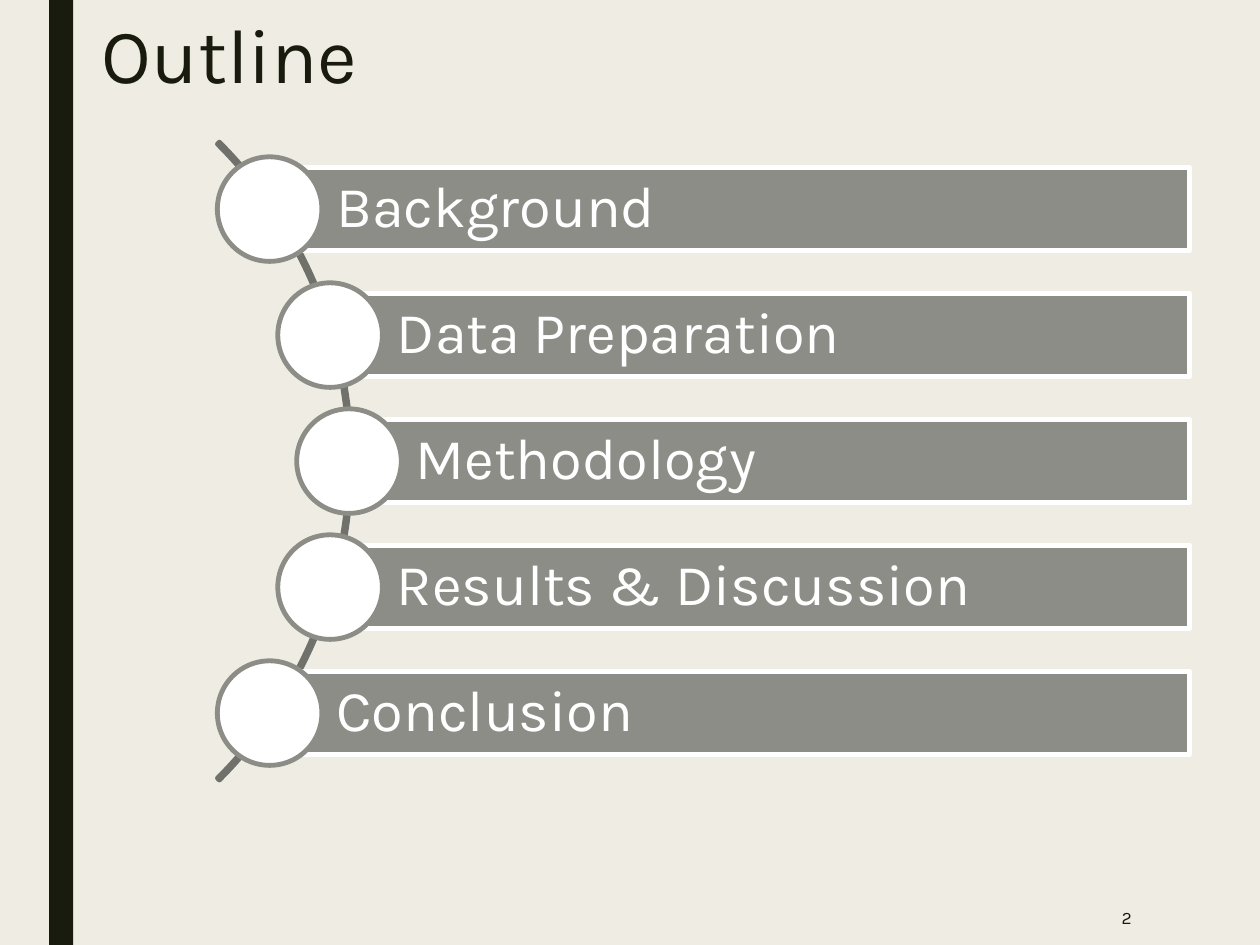
from dataclasses import dataclass

from pptx import Presentation
from pptx.dml.color import RGBColor
from pptx.enum.shapes import MSO_SHAPE as Shape
from pptx.enum.text import MSO_ANCHOR as Anchor, PP_ALIGN as Align
from pptx.util import Inches, Pt


@dataclass(frozen=True)
class Theme:
    background: RGBColor = RGBColor(0xEF, 0xED, 0xE3)
    ink: RGBColor = RGBColor(0x19, 0x1B, 0x0E)
    arc: RGBColor = RGBColor(0x70, 0x71, 0x6B)
    bar: RGBColor = RGBColor(0x8C, 0x8D, 0x86)
    white: RGBColor = RGBColor(0xFF, 0xFF, 0xFF)
    font: str = "Karla"
    title_size: float = 44
    topic_size: float = 33
    number_size: float = 10
    outline: float = 2.75


@dataclass(frozen=True)
class Topic:
    label: str
    left: float


THEME = Theme()
TOPICS = [
    Topic("Background", 2.14),
    Topic("Data Preparation", 2.62),
    Topic("Methodology", 2.77),
    Topic("Results & Discussion", 2.62),
    Topic("Conclusion", 2.14),
]
CENTER_Y = 3.66
TOPIC_PITCH = 1.0
BAR_RIGHT = 9.44
BAR_HEIGHT = 0.66
CIRCLE_SIZE = 0.83
ARC_CENTER_X = -0.79
ARC_SIZE = 7.16


def add_shape(slide, kind: Shape, left: float, top: float, width: float,
              height: float, fill: RGBColor | None = None,
              line: RGBColor | None = None):
    shape = slide.shapes.add_shape(
        kind, Inches(left), Inches(top), Inches(width), Inches(height))
    shape.shadow.inherit = False
    if fill is None:
        shape.fill.background()
    else:
        shape.fill.solid()
        shape.fill.fore_color.rgb = fill
    if line is None:
        shape.line.fill.background()
    else:
        shape.line.color.rgb = line
        shape.line.width = Pt(THEME.outline)
    return shape


def write(shape, text: str, size: float, color: RGBColor,
          anchor: Anchor = Anchor.MIDDLE, align: Align = Align.LEFT,
          line_spacing: float = 1.0) -> None:
    frame = shape.text_frame
    frame.word_wrap = True
    frame.vertical_anchor = anchor
    frame.text = text
    paragraph = frame.paragraphs[0]
    paragraph.alignment = align
    paragraph.line_spacing = line_spacing
    font = paragraph.runs[0].font
    font.name = THEME.font
    font.size = Pt(size)
    font.color.rgb = color


def add_text(slide, left: float, top: float, width: float, height: float):
    return slide.shapes.add_textbox(
        Inches(left), Inches(top), Inches(width), Inches(height))


def add_arc(slide) -> None:
    """Draw the right-hand quarter of the ring that carries the circles."""
    arc = add_shape(slide, Shape.BLOCK_ARC, ARC_CENTER_X - ARC_SIZE / 2,
                    CENTER_Y - ARC_SIZE / 2, ARC_SIZE, ARC_SIZE,
                    line=THEME.arc)
    for index, value in enumerate((189, 27, 0.003)):
        arc.adjustments[index] = value


def add_topic(slide, topic: Topic, middle: float) -> None:
    """Draw a labelled bar with a circle centred on its left edge."""
    bar = add_shape(slide, Shape.RECTANGLE, topic.left,
                    middle - BAR_HEIGHT / 2, BAR_RIGHT - topic.left,
                    BAR_HEIGHT, THEME.bar, THEME.white)
    write(bar, topic.label, THEME.topic_size, THEME.white, line_spacing=0.9)
    frame = bar.text_frame
    frame.margin_left = Inches(0.53)
    frame.margin_top = frame.margin_right = frame.margin_bottom = Inches(0.09)
    add_shape(slide, Shape.OVAL, topic.left - CIRCLE_SIZE / 2,
              middle - CIRCLE_SIZE / 2, CIRCLE_SIZE, CIRCLE_SIZE,
              THEME.white, THEME.bar)


def main() -> None:
    deck = Presentation()
    deck.slide_width, deck.slide_height = Inches(10), Inches(7.5)
    slide = deck.slides.add_slide(deck.slide_layouts[6])
    slide.background.fill.solid()
    slide.background.fill.fore_color.rgb = THEME.background

    add_shape(slide, Shape.RECTANGLE, 0.39, 0, 0.19, 7.5, THEME.ink)
    title = add_text(slide, 0.71, 0.09, 7.88, 0.91)
    write(title, "Outline", THEME.title_size, THEME.ink, Anchor.TOP,
          line_spacing=0.89)

    add_arc(slide)
    first_middle = CENTER_Y - TOPIC_PITCH * (len(TOPICS) - 1) / 2
    for row, topic in enumerate(TOPICS):
        add_topic(slide, topic, first_middle + row * TOPIC_PITCH)

    page_number = add_text(slide, 7.77, 7.06, 1.31, 0.44)
    write(page_number, "2", THEME.number_size, THEME.ink, align=Align.RIGHT)
    deck.save("out.pptx")


if __name__ == "__main__":
    main()
